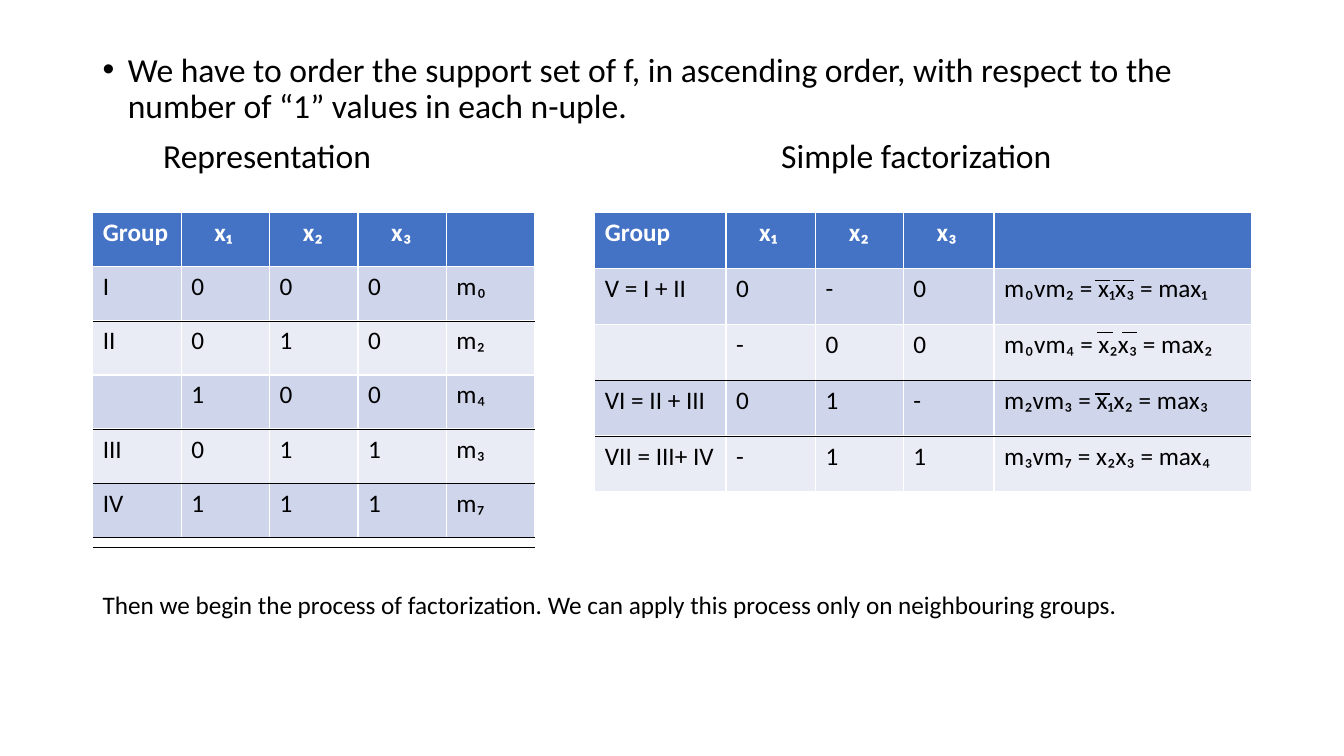
import pptx
import pptx.dml.color
import pptx.enum.shapes
import pptx.enum.text
import pptx.oxml.ns
import pptx.util
from lxml import etree

RGBColor = pptx.dml.color.RGBColor
Inches = pptx.util.Inches
Pt = pptx.util.Pt
qn = pptx.oxml.ns.qn

BLACK = RGBColor(0x00, 0x00, 0x00)
WHITE = RGBColor(0xFF, 0xFF, 0xFF)
HEADER_BLUE = RGBColor(0x44, 0x72, 0xC4)
BANDS = [RGBColor(0xCF, 0xD5, 0xEA), RGBColor(0xE9, 0xEB, 0xF5)]

SLIDE_WIDTH, SLIDE_HEIGHT = 13.33, 7.5
MARGIN, CONTENT_WIDTH = 0.92, 11.5
TABLE_TOP = 2.11
BULLET_INDENT = 0.25
HEADING_TABS = [0.6, 6.73]
VARIABLE_INDENT = 0.23

INTRO = ("We have to order the support set of f, in ascending order, with respect "
         "to the number of “1” values in each n-uple.")
HEADINGS = ["Representation", "Simple factorization"]
CLOSING = ("Then we begin the process of factorization. We can apply this process "
           "only on neighbouring groups.")
HEADER = ["Group", "x₁", "x₂", "x₃", ""]

TABLES = [
    {
        "left": MARGIN,
        "columns": [0.877] * 5,
        "row_height": 0.537,
        "rows": [
            ["I", "0", "0", "0", "m₀"],
            ["II", "0", "1", "0", "m₂"],
            ["", "1", "0", "0", "m₄"],
            ["III", "0", "1", "1", "m₃"],
            ["IV", "1", "1", "1", "m₇"],
        ],
        "rules_below_rows": [2, 4, 5, 6],
        "closing_gap": 0.1,
    },
    {
        "left": 5.9,
        "columns": [1.3, 0.89, 0.87, 0.9, 2.55],
        "row_height": 0.554,
        "rows": [
            ["V = I + II", "0", "-", "0", "m₀vm₂ = x₁x₃ = max₁"],
            ["", "-", "0", "0", "m₀vm₄ = x₂x₃ = max₂"],
            ["VI = II + III", "0", "1", "-", "m₂vm₃ = x₁x₂ = max₃"],
            ["VII = III+ IV", "-", "1", "1", "m₃vm₇ = x₂x₃ = max₄"],
        ],
        "rules_below_rows": [3, 4],
        "closing_gap": 0,
    },
]

NEGATION_BARS = [
    (2.78, [(10.86, 0.15), (11.04, 0.21)]),
    (3.3, [(10.88, 0.16), (11.13, 0.15)]),
    (3.91, [(10.86, 0.15)]),
]


def style_font(font, size, color=BLACK, bold=False):
    values = {"name": "Calibri", "size": Pt(size), "bold": bold}
    for name, value in values.items():
        setattr(font, name, value)
    font.color.rgb = color


def add_text_box(slide, top, height):
    box = slide.shapes.add_textbox(
        Inches(MARGIN), Inches(top), Inches(CONTENT_WIDTH), Inches(height))
    box.text_frame.word_wrap = True
    return box.text_frame


def add_run(paragraph, text, size):
    run = paragraph.add_run()
    run.text = text
    style_font(run.font, size)


def add_rule(slide, left, top, width, weight):
    line = slide.shapes.add_connector(
        pptx.enum.shapes.MSO_CONNECTOR.STRAIGHT,
        Inches(left), Inches(top), Inches(left + width), Inches(top))
    line.line.color.rgb = BLACK
    line.line.width = Pt(weight)
    etree.SubElement(line._element.spPr, qn("a:effectLst"))


def add_introduction(slide):
    frame = add_text_box(slide, 0.48, 1.4)
    bullet, headings = frame.paragraphs[0], frame.add_paragraph()
    for paragraph in (bullet, headings):
        for name, value in {"line_spacing": 0.9, "space_before": Pt(10)}.items():
            setattr(paragraph, name, value)
    add_run(bullet, INTRO, 24)
    add_run(headings, "".join("\t" + heading for heading in HEADINGS), 24)

    properties = bullet._p.get_or_add_pPr()
    properties.set("marL", str(Inches(BULLET_INDENT)))
    properties.set("indent", str(-Inches(BULLET_INDENT)))
    etree.SubElement(properties, qn("a:buFont"), typeface="Arial")
    etree.SubElement(properties, qn("a:buChar"), char="•")

    tabs = etree.SubElement(headings._p.get_or_add_pPr(), qn("a:tabLst"))
    for position in HEADING_TABS:
        etree.SubElement(tabs, qn("a:tab"), pos=str(Inches(position)), algn="l")


def fill_cell(cell, text, row, column):
    is_header = row == 0
    cell.fill.solid()
    cell.fill.fore_color.rgb = HEADER_BLUE if is_header else BANDS[(row - 1) % 2]
    cell.text = text
    paragraph = cell.text_frame.paragraphs[0]
    style_font(paragraph.font, 18)
    for run in paragraph.runs:
        style_font(run.font, 18, WHITE if is_header else BLACK, is_header)
    if is_header and column > 0:
        paragraph._p.get_or_add_pPr().set("marL", str(Inches(VARIABLE_INDENT)))


def add_group_table(slide, content):
    rows = [HEADER] + content["rows"]
    left, columns, row_height = (
        content[key] for key in ("left", "columns", "row_height"))
    width, height = sum(columns), row_height * len(rows)
    table = slide.shapes.add_table(
        len(rows), len(columns), Inches(left), Inches(TABLE_TOP),
        Inches(width), Inches(height)).table
    for column, column_width in zip(table.columns, columns):
        column.width = Inches(column_width)
    for row_index, values in enumerate(rows):
        table.rows[row_index].height = Inches(row_height)
        for column_index, text in enumerate(values):
            fill_cell(table.cell(row_index, column_index), text,
                      row_index, column_index)
    for count in content["rules_below_rows"]:
        add_rule(slide, left, TABLE_TOP + count * row_height, width, 0.5)
    if content["closing_gap"]:
        add_rule(slide, left, TABLE_TOP + height + content["closing_gap"], width, 0.5)


def main():
    presentation = pptx.Presentation()
    presentation.slide_width = Inches(SLIDE_WIDTH)
    presentation.slide_height = Inches(SLIDE_HEIGHT)
    slide = presentation.slides.add_slide(presentation.slide_layouts[6])

    add_introduction(slide)
    for content in TABLES:
        add_group_table(slide, content)
    for top, bars in NEGATION_BARS:
        for left, width in bars:
            add_rule(slide, left, top, width, 1)
    add_run(add_text_box(slide, 5.8, 0.4).paragraphs[0], CLOSING, 18)

    presentation.save("out.pptx")


if __name__ == "__main__":
    main()
